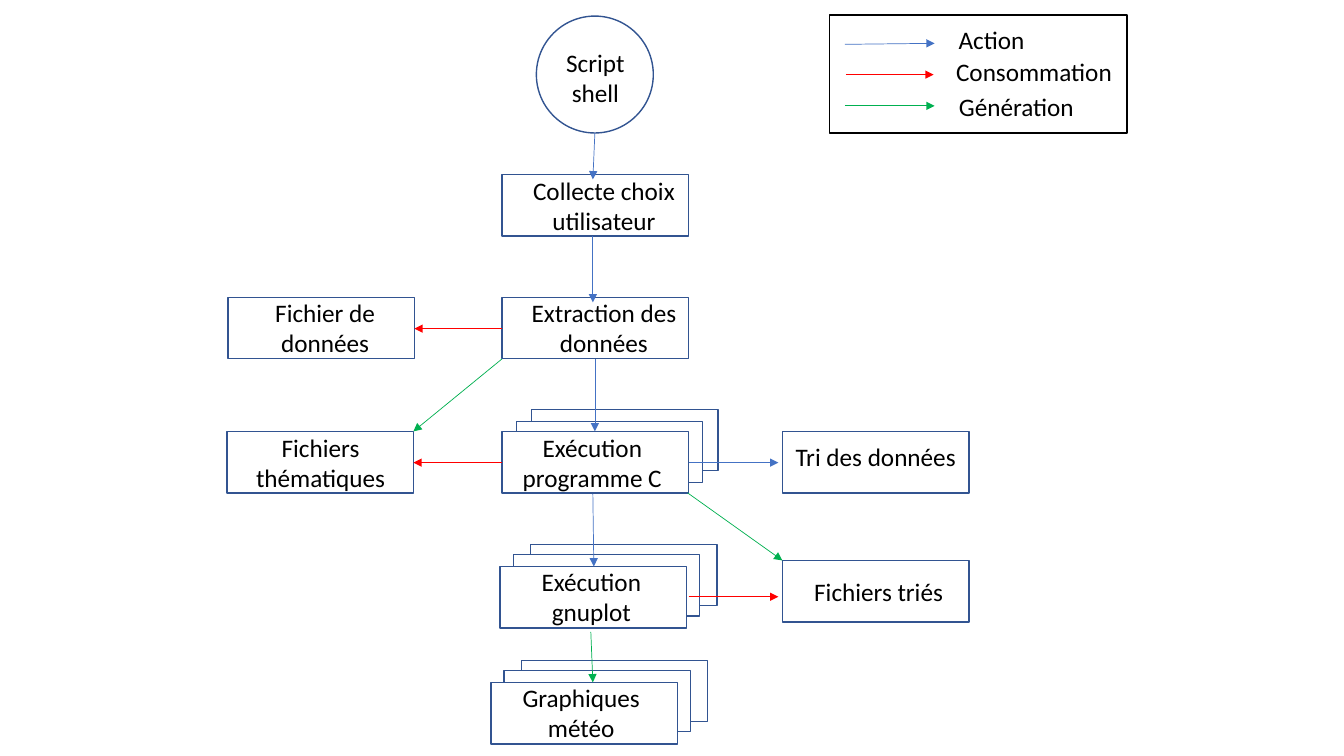
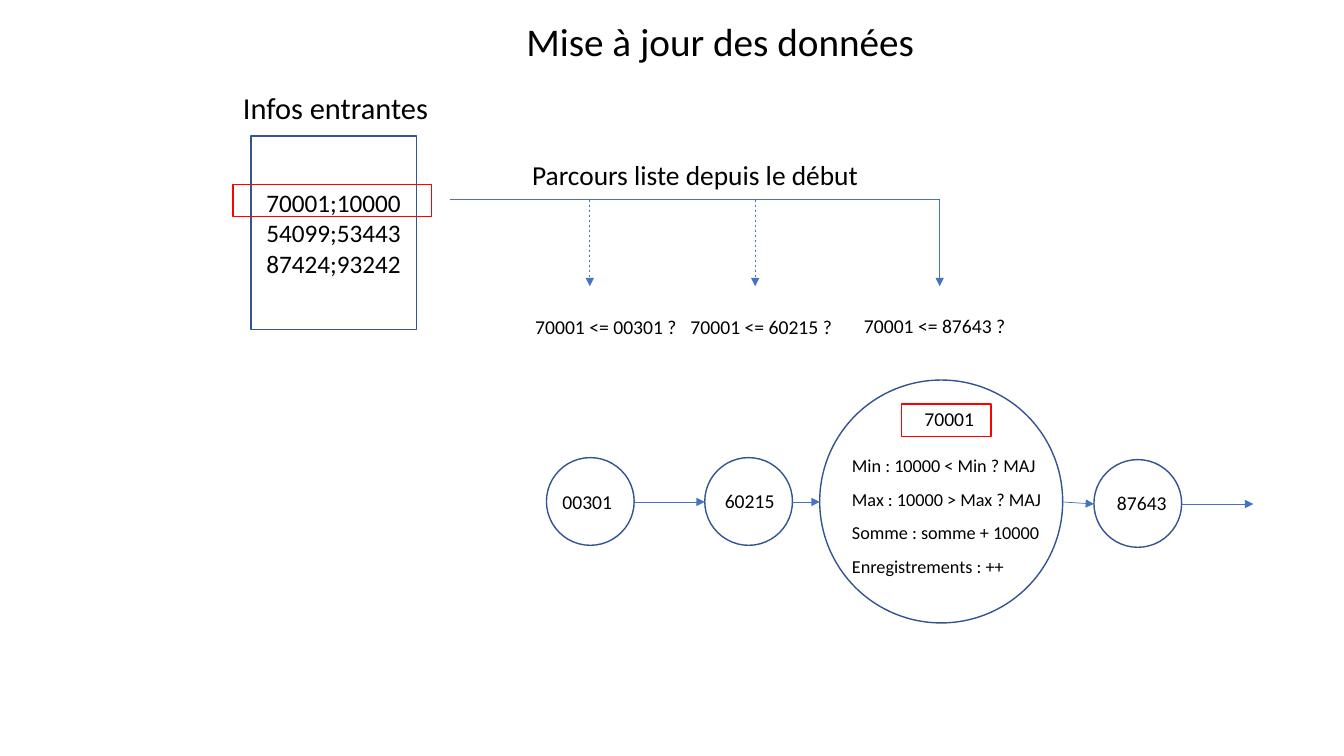
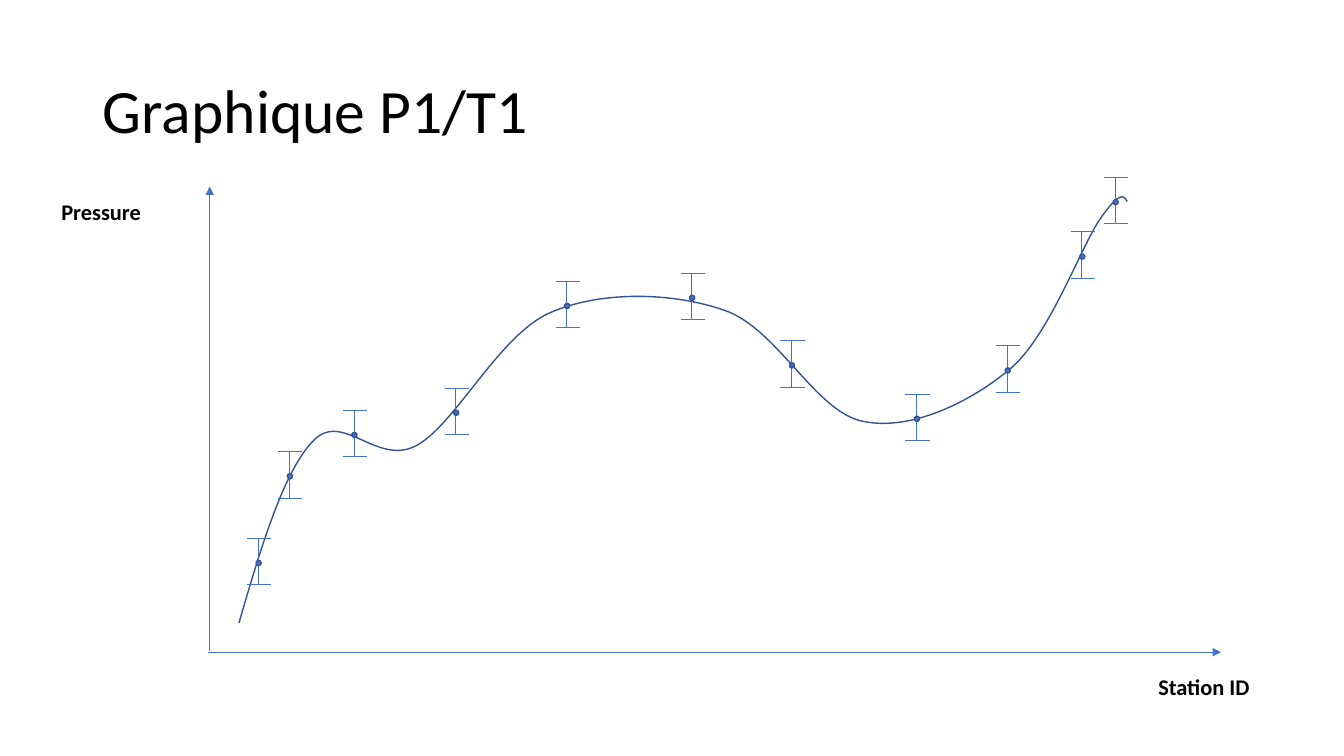
from typing import NamedTuple

from lxml import etree
from pptx import Presentation
from pptx import slide as sl
from pptx import util as u
from pptx.dml import color as dml_color
from pptx.dml import fill as dml_fill
from pptx.enum import dml, shapes, text
from pptx.oxml import ns
from pptx.shapes import autoshape, shapetree

# Shared style
FONT = "Calibri"
BLACK, WHITE = "000000", "FFFFFF"
OUTLINE, BLUE, RED, GREEN = "325491", "4472C4", "FF0000", "00B050"
RECT, OVAL = shapes.MSO_SHAPE.RECTANGLE, shapes.MSO_SHAPE.OVAL
LEFT, CENTER = text.PP_ALIGN.LEFT, text.PP_ALIGN.CENTER
TOP, MIDDLE = text.MSO_ANCHOR.TOP, text.MSO_ANCHOR.MIDDLE
BOX_W, BOX_H = 1.85, 0.61
NODE_D = 0.87


class Style(NamedTuple):
    size: float
    align: text.PP_ALIGN = LEFT
    anchor: text.MSO_ANCHOR = TOP
    spacing: float = 0.9
    bold: bool = False


FLOW_TEXT = Style(18, CENTER, spacing=1.0)
RECORD_TEXT = Style(18, CENTER, MIDDLE, 1.0)
SMALL_TEXT = Style(14)
AXIS_TEXT = Style(16, bold=True)


class Arrow(NamedTuple):
    x1: float
    y1: float
    x2: float
    y2: float
    color: str = BLUE
    dashed: bool = False
    head: bool = True


class Label(NamedTuple):
    words: str
    left: float
    top: float
    width: float
    height: float
    style: Style = FLOW_TEXT


class Step(NamedTuple):
    """A flowchart box, with the corners of the boxes behind it, nearest first."""
    left: float
    top: float
    label: Label
    behind: tuple[tuple[float, float], ...] = ()


def paint(fill: dml_fill.FillFormat, color: str) -> None:
    fill.solid()
    fill.fore_color.rgb = dml_color.RGBColor.from_string(color)


def write(shape: autoshape.Shape, words: str, style: Style) -> None:
    """Fill a shape with one paragraph per line of words."""
    frame = shape.text_frame
    frame.word_wrap = True
    frame.auto_size = text.MSO_AUTO_SIZE.NONE
    frame.vertical_anchor = style.anchor
    frame.text = words
    for index, paragraph in enumerate(frame.paragraphs):
        if shape.is_placeholder:
            properties = paragraph._p.get_or_add_pPr()
            properties.set("marL", "0")
            properties.set("indent", "0")
            etree.SubElement(properties, ns.qn("a:buNone"))
        paragraph.alignment = style.align
        paragraph.line_spacing = style.spacing
        paragraph.space_before = u.Pt(10 if index and style.spacing < 1 else 0)
        for run in paragraph.runs:
            run.font.name = FONT
            run.font.size = u.Pt(style.size)
            run.font.bold = style.bold
            paint(run.font.fill, BLACK)


def fill_label(shape: autoshape.Shape, label: Label) -> None:
    shape.left, shape.top = u.Inches(label.left), u.Inches(label.top)
    shape.width, shape.height = u.Inches(label.width), u.Inches(label.height)
    write(shape, label.words, label.style)


def add_label(tree: shapetree.SlideShapes, label: Label) -> None:
    fill_label(tree.add_textbox(0, 0, 0, 0), label)


def set_outline(shape: autoshape.Shape, line: str, fill: str = "") -> None:
    shape.shadow.inherit = False
    if fill:
        paint(shape.fill, fill)
    else:
        shape.fill.background()
    paint(shape.line.fill, line)
    shape.line.width = u.Pt(1)


def add_outline(tree: shapetree.SlideShapes, kind: shapes.MSO_SHAPE, left: float, top: float,
                width: float, height: float, line: str = OUTLINE, fill: str = "") -> autoshape.Shape:
    shape = tree.add_shape(kind, *map(u.Inches, (left, top, width, height)))
    set_outline(shape, line, fill)
    return shape


def add_arrow(tree: shapetree.SlideShapes, arrow: Arrow) -> None:
    connector = tree.add_connector(shapes.MSO_CONNECTOR.STRAIGHT, *map(u.Inches, arrow[:4]))
    paint(connector.line.fill, arrow.color)
    connector.line.width = u.Pt(0.5)
    if arrow.dashed:
        connector.line.dash_style = dml.MSO_LINE.DASH
    if arrow.head:
        etree.SubElement(connector.line._get_or_add_ln(), ns.qn("a:tailEnd"), type="triangle")
    etree.SubElement(connector._element.spPr, ns.qn("a:effectLst"))


def add_step(tree: shapetree.SlideShapes, step: Step) -> None:
    """Draw the boxes from back to front; only the rearmost has no fill."""
    corners = [*reversed(step.behind), (step.left, step.top)]
    for index, (left, top) in enumerate(corners):
        add_outline(tree, RECT, left, top, BOX_W, BOX_H, fill=WHITE if index else "")
    add_label(tree, step.label)


# Slide 1: flowchart
START_LABEL = Label("Script shell", 5.47, 0.42, 0.87, 0.71)
STEPS = [
    Step(4.98, 1.73, Label("Collecte choix utilisateur", 5.08, 1.69, 1.82, 0.71)),
    Step(4.98, 2.95, Label("Extraction des données", 5.08, 2.9, 1.82, 0.71)),
    Step(2.26, 2.95, Label("Fichier de données", 2.3, 2.9, 1.85, 0.71)),
    Step(2.25, 4.28, Label("Fichiers thématiques", 2.2, 4.24, 1.96, 0.71)),
    Step(4.98, 4.28, Label("Exécution programme C", 5.01, 4.24, 1.73, 0.71),
         ((5.12, 4.18), (5.27, 4.06))),
    Step(7.76, 4.28, Label("Tri des données", 7.76, 4.33, 1.85, 0.4)),
    Step(4.96, 5.62, Label("Exécution gnuplot", 5, 5.57, 1.73, 0.71),
         ((5.09, 5.5), (5.26, 5.4))),
    Step(7.76, 5.56, Label("Fichiers triés", 7.88, 5.67, 1.67, 0.4)),
    Step(4.87, 6.77, Label("Graphiques\nmétéo", 4.9, 6.72, 1.73, 0.71),
         ((5, 6.65), (5.17, 6.55))),
]
FLOW_ARROWS = [
    Arrow(5.9, 1.32, 5.88, 1.78),
    Arrow(5.88, 2.34, 5.88, 3),
    Arrow(5.9, 3.56, 5.9, 4.28),
    Arrow(5.88, 4.9, 5.89, 5.62),
    Arrow(6.83, 4.59, 7.72, 4.59),
    Arrow(4.98, 3.26, 4.11, 3.26, RED),
    Arrow(4.98, 4.59, 4.1, 4.59, RED),
    Arrow(6.83, 5.92, 7.72, 5.92, RED),
    Arrow(4.98, 3.56, 4.1, 4.28, GREEN),
    Arrow(6.82, 4.89, 7.76, 5.56, GREEN),
    Arrow(5.86, 6.27, 5.88, 6.77, GREEN),
]
LEGEND = [
    (Arrow(8.38, 0.44, 9.27, 0.43, BLUE), Label("Action", 9.4, 0.19, 0.87, 0.4)),
    (Arrow(8.39, 0.74, 9.26, 0.74, RED), Label("Consommation", 9.33, 0.51, 1.85, 0.4)),
    (Arrow(8.38, 1.05, 9.27, 1.05, GREEN), Label("Génération", 9.29, 0.86, 1.58, 0.4)),
]


def draw_flowchart(slide: sl.Slide) -> None:
    tree = slide.shapes
    add_outline(tree, OVAL, 5.32, 0.16, 1.16, 1.16)
    add_label(tree, START_LABEL)
    for step in STEPS:
        add_step(tree, step)
    for arrow in FLOW_ARROWS:
        add_arrow(tree, arrow)
    for arrow, label in LEGEND:
        add_arrow(tree, arrow)
        add_label(tree, label)
    add_outline(tree, RECT, 8.23, 0.15, 2.95, 1.17, BLACK)


# Slide 2: linked list update
UPDATE_TITLE = Label("Mise à jour des données", 5.12, 0.17, 4.28, 0.98, Style(28))
INCOMING = Label("Infos entrantes", 2.31, 0.93, 2.18, 0.57, Style(21.7, spacing=0.7))
UPDATES = Label("Min : 10000 < Min ? MAJ\nMax : 10000 > Max ? MAJ\n"
                "Somme : somme + 10000\nEnregistrements : ++",
                8.35, 4.48, 2.19, 1.36, Style(13))
CIRCLES = [(5.42, 4.54, NODE_D), (6.99, 4.54, NODE_D), (8.13, 3.77, 2.41), (10.85, 4.56, NODE_D)]
HIGHLIGHTS = [(2.31, 1.83, 1.97, 0.32), (8.94, 4.01, 0.89, 0.32)]
LIST_LABELS = [
    Label("Parcours liste depuis le début", 5.18, 1.61, 3.75, 0.57, Style(19.6, spacing=0.7)),
    Label("70001", 9.07, 4.03, 0.73, 0.3, Style(14, spacing=0.8)),
    Label("00301", 5.48, 4.84, 0.73, 0.57, SMALL_TEXT),
    Label("60215", 7.09, 4.83, 0.73, 0.57, SMALL_TEXT),
    Label("87643", 10.98, 4.85, 0.73, 0.57, SMALL_TEXT),
    Label("70001 <= 00301 ?", 5.21, 3.1, 1.72, 0.57, SMALL_TEXT),
    Label("70001 <= 60215 ?", 6.75, 3.1, 1.72, 0.57, SMALL_TEXT),
    Label("70001 <= 87643 ?", 8.47, 3.09, 1.72, 0.57, SMALL_TEXT),
]
LIST_ARROWS = [
    Arrow(6.3, 4.98, 6.99, 4.98),
    Arrow(7.86, 4.98, 8.13, 4.98),
    Arrow(10.54, 4.98, 10.85, 5),
    Arrow(11.72, 5, 12.43, 5),
    Arrow(9.32, 1.98, 9.32, 2.84),
    Arrow(4.46, 1.98, 9.32, 1.98, head=False),
    Arrow(5.85, 1.98, 5.85, 2.84, dashed=True),
    Arrow(7.49, 1.98, 7.49, 2.84, dashed=True),
]


def draw_list_update(slide: sl.Slide) -> None:
    tree = slide.shapes
    for shape, label in zip(slide.placeholders, (UPDATE_TITLE, INCOMING, UPDATES)):
        fill_label(shape, label)
    records = add_outline(tree, RECT, 2.49, 1.35, 1.64, 1.92)
    write(records, "70001;10000\n54099;53443\n87424;93242", RECORD_TEXT)
    for left, top, diameter in CIRCLES:
        add_outline(tree, OVAL, left, top, diameter, diameter)
    for highlight in HIGHLIGHTS:
        add_outline(tree, RECT, *highlight, line=RED)
    for arrow in LIST_ARROWS:
        add_arrow(tree, arrow)
    for label in LIST_LABELS:
        add_label(tree, label)


# Slide 3: curve with error bars
CURVE_TITLE = Label("Graphique P1/T1", 0.92, 0.4, 11.5, 1.45, Style(44, anchor=MIDDLE))
AXES = [Arrow(2.06, 6.47, 12.11, 6.47), Arrow(2.08, 6.46, 2.08, 1.85)]
AXIS_LABELS = [
    Label("Station ID", 11.39, 6.66, 1.45, 0.57, AXIS_TEXT),
    Label("Pressure", 0.51, 1.95, 1.45, 0.57, AXIS_TEXT),
]
# Start point, then two control points and an end point for each Bézier arc
CURVE = [
    (2.37, 6.18),
    (2.59, 5.42), (2.82, 4.66), (3.11, 4.37),
    (3.4, 4.07), (3.74, 4.63), (4.13, 4.42),
    (4.52, 4.21), (4.95, 3.32), (5.46, 3.1),
    (5.97, 2.88), (6.68, 2.9), (7.19, 3.08),
    (7.71, 3.26), (8.09, 4.09), (8.56, 4.18),
    (9.03, 4.28), (9.63, 3.99), (10.03, 3.65),
    (10.42, 3.31), (10.72, 2.44), (10.92, 2.16),
    (11.11, 1.89), (11.15, 1.94), (11.18, 2),
]
MEASURES = [
    (2.56, 5.57), (2.87, 4.71), (3.51, 4.3), (4.52, 4.08), (5.62, 3.02), (6.86, 2.94),
    (7.85, 3.61), (9.09, 4.14), (9.99, 3.66), (10.73, 2.53), (11.06, 1.99),
]
BAR_HALF, CAP_LEFT, CAP_RIGHT, DOT = 0.23, 0.11, 0.13, 0.05


def add_curve(tree: shapetree.SlideShapes) -> None:
    start, *points = [(u.Inches(x), u.Inches(y)) for x, y in CURVE]
    builder = tree.build_freeform(*start)
    builder.add_line_segments(points, close=False)
    curve = builder.convert_to_shape()
    # Fold every three line segments into one Bézier arc
    segments = list(curve._element.iter(ns.qn("a:lnTo")))
    for first in range(0, len(segments), 3):
        arc = etree.Element(ns.qn("a:cubicBezTo"))
        segments[first].addprevious(arc)
        for segment in segments[first:first + 3]:
            arc.append(segment[0])
            segment.getparent().remove(segment)
    set_outline(curve, OUTLINE)


def add_error_bar(tree: shapetree.SlideShapes, x: float, y: float) -> None:
    group = tree.add_group_shape().shapes
    add_arrow(group, Arrow(x, y - BAR_HALF, x, y + BAR_HALF, head=False))
    for cap_y in (y - BAR_HALF, y + BAR_HALF):
        add_arrow(group, Arrow(x - CAP_LEFT, cap_y, x + CAP_RIGHT, cap_y, head=False))
    add_outline(group, OVAL, x - 0.02, y - 0.01, DOT, DOT, fill=BLUE)


def draw_curve(slide: sl.Slide) -> None:
    tree = slide.shapes
    fill_label(tree.title, CURVE_TITLE)
    for axis in AXES:
        add_arrow(tree, axis)
    for label in AXIS_LABELS:
        add_label(tree, label)
    add_curve(tree)
    for x, y in MEASURES:
        add_error_bar(tree, x, y)


def main() -> None:
    presentation = Presentation()
    presentation.slide_width, presentation.slide_height = u.Inches(13.33), u.Inches(7.5)
    # Layouts: 6 blank, 3 title with two bodies, 5 title only
    for layout, draw in ((6, draw_flowchart), (3, draw_list_update), (5, draw_curve)):
        draw(presentation.slides.add_slide(presentation.slide_layouts[layout]))
    presentation.save("out.pptx")


if __name__ == "__main__":
    main()
